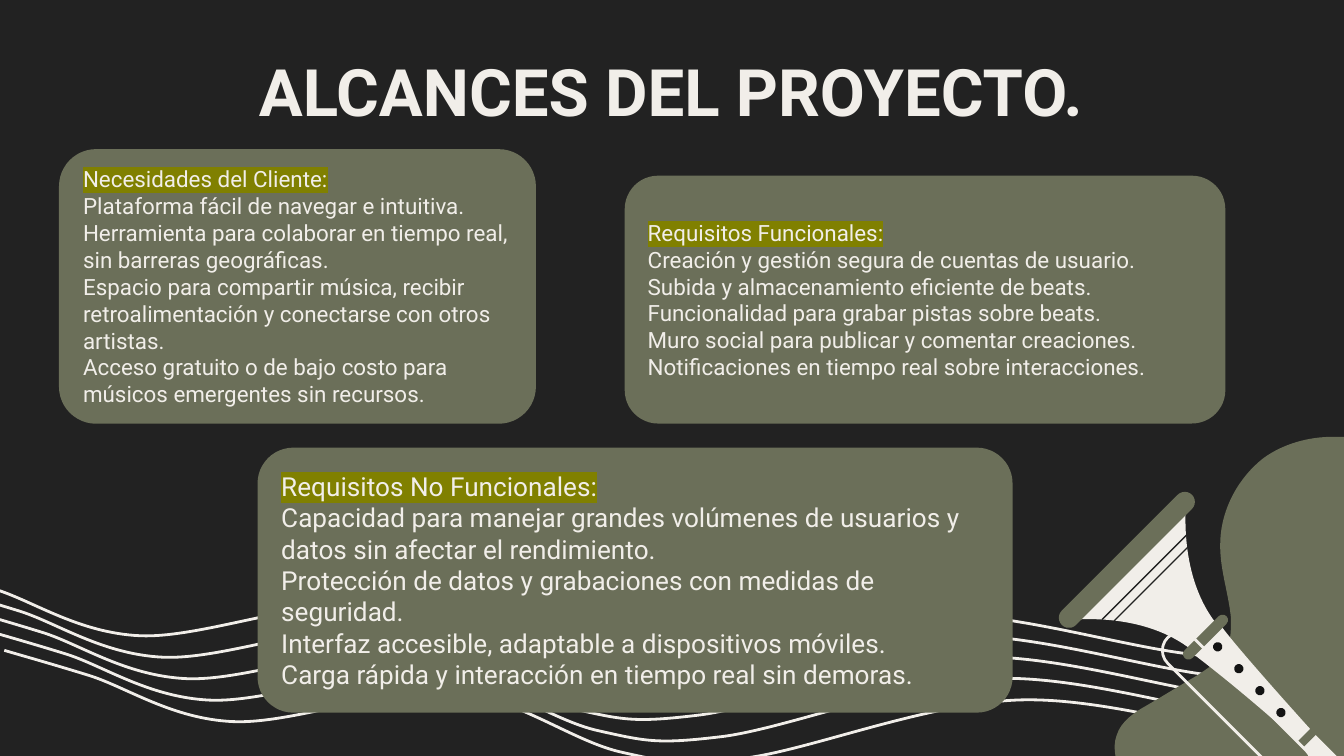
"""Build the project scope slide with a stave and trumpet decoration."""
import math

import pptx
import pptx.dml.color
import pptx.enum.shapes
import pptx.enum.text
import pptx.oxml
import pptx.oxml.ns
import pptx.util

Pt = pptx.util.Pt
SHAPE = pptx.enum.shapes.MSO_SHAPE
ANCHOR = pptx.enum.text.MSO_ANCHOR
ALIGN = pptx.enum.text.PP_ALIGN
NS = pptx.oxml.ns.nsdecls("a")
COLORS = {"bg": "222222", "cream": "F1EEE9", "olive": "6B6F59", "mark": "808000", "hole": "141414"}
FONT = "Roboto"
TILT = 315
SLOPE = 357.5

STAVE = [(-47.5, 302.4), (-40.3, 304.6, -22.3, 309.6, -1.4, 316.1),
         (18.7, 322.6, 42.5, 339.1, 74.9, 340.6), (107.3, 342, 158.4, 321.8, 193, 324.7),
         (227.5, 327.6, 257, 351.4, 283.7, 357.1), (309.6, 362.9, 315.4, 364.3, 350.6, 360),
         (386.6, 355, 447.1, 330.5, 496.8, 329), (546.5, 327.6, 610.6, 349.9, 649.4, 351.4),
         (687.6, 352.8, 715, 339.8, 728.6, 337.7)]
BLOB = [(714.2, 234), (701.3, 234, 687.6, 237.6, 676.8, 245.5),
        (663.8, 255.6, 654.5, 272.2, 653.8, 289.4), (653, 303.8, 658.1, 316.8, 659.5, 331.2),
        (659.5, 337, 659.5, 342.7, 657.4, 347), (653.8, 354.2, 647.3, 357.8, 640.8, 362.2),
        (632.2, 367.2, 622.8, 373, 614.2, 378), (607.7, 381.6, 600.5, 386.6, 598.3, 393.8),
        (596.9, 397.4, 596.9, 401, 597.6, 405), (720, 405), (720, 234)]
TRUMPET = [
    [(569.5, 332.6), (569.5, 332.6, 609.8, 326.2, 637.9, 347.8), (645.1, 341.3), (603.4, 299.5)],
    [(635.8, 265.7), (602.6, 299.5), (644.4, 341.3), (651.6, 334.1),
     (630, 306.7, 635.8, 265.7, 635.8, 265.7)],
    [(635.8, 347.8), (663.8, 368.6, 694.8, 396.7, 694.8, 396.7), (701.3, 391), (646.6, 336.2)],
    [(643.7, 344.9), (697.7, 399.6), (704.2, 393.1), (704.2, 393.1, 662.4, 347, 653.8, 334.8)],
    [(673.9, 375.8), (711.4, 414), (718.6, 407.5), (699.1, 388.1)],
]
RINGS = [(689.8, 393.1, 20.9, 4.3), (630, 338.4, 31.7, 5.8)]
RIM = (554.4, 294.5, 98.6, 10.8)
LOOP = (653, 326.2, 19.4, 105.1)
BELL_LINES = [(590.4, 331.9, 636.5, 285.8), (596.9, 332.6, 637.2, 292.3)]
CARDS = [
    ((31.6, 79.9, 255.5, 147.1), 12, [
        "Necesidades del Cliente:",
        "Plataforma fácil de navegar e intuitiva.",
        "Herramienta para colaborar en tiempo real, sin barreras geográficas.",
        "Espacio para compartir música, recibir retroalimentación y conectarse con otros artistas.",
        "Acceso gratuito o de bajo costo para músicos emergentes sin recursos."]),
    ((334.7, 94.1, 321.8, 132.8), 12, [
        "Requisitos Funcionales:",
        "Creación y gestión segura de cuentas de usuario.",
        "Subida y almacenamiento eficiente de beats.",
        "Funcionalidad para grabar pistas sobre beats.",
        "Muro social para publicar y comentar creaciones.",
        "Notificaciones en tiempo real sobre interacciones."]),
    ((138, 239.8, 404.5, 142), 14, [
        "Requisitos No Funcionales:",
        "Capacidad para manejar grandes volúmenes de usuarios y datos sin afectar el rendimiento.",
        "Protección de datos y grabaciones con medidas de seguridad.",
        "Interfaz accesible, adaptable a dispositivos móviles.",
        "Carga rápida y interacción en tiempo real sin demoras."]),
]


def rgb(name):
    """Return the named colour."""
    return pptx.dml.color.RGBColor.from_string(COLORS[name])


def paint(sp, fill=None, line=None, width=1.5):
    """Set fill and outline, each absent when not named."""
    sp.shadow.inherit = False
    for fmt, color in ((sp.fill, fill), (sp.line.fill, line)):
        if color:
            fmt.solid()
            fmt.fore_color.rgb = rgb(color)
        else:
            fmt.background()
    if line:
        sp.line.width = Pt(width)


def turn(x, y, degrees):
    """Rotate a point clockwise about the slide corner."""
    a = math.radians(degrees)
    return x * math.cos(a) - y * math.sin(a), x * math.sin(a) + y * math.cos(a)


def add_outline(shapes, path, dx=0, dy=0, rotation=0, close=True, **style):
    """Draw lines and cubic curves as a freeform whose box is rotated."""
    segs = [[tuple(map(Pt, turn(seg[i] + dx, seg[i + 1] + dy, -rotation)))
             for i in range(0, len(seg), 2)] for seg in path]
    fb = shapes.build_freeform(*segs[0][0], scale=1.0)
    fb.add_line_segments([seg[-1] for seg in segs[1:]], close=close)
    sp = fb.convert_to_shape()
    lines = list(sp._element.iter(pptx.oxml.ns.qn("a:lnTo")))
    for ln, seg in zip(lines, segs[1:]):
        if len(seg) == 3:
            pts = "".join(f'<a:pt x="{x - sp.left}" y="{y - sp.top}"/>' for x, y in seg)
            curve = pptx.oxml.parse_xml(f"<a:cubicBezTo {NS}>{pts}</a:cubicBezTo>")
            ln.getparent().replace(ln, curve)
    cx, cy = turn(sp.left + sp.width / 2, sp.top + sp.height / 2, rotation)
    sp.left, sp.top = round(cx - sp.width / 2), round(cy - sp.height / 2)
    sp.rotation = rotation
    paint(sp, **style)


def add_preset(shapes, kind, box, adj=None, rotation=0, **style):
    """Add a painted preset shape."""
    sp = shapes.add_shape(kind, *map(Pt, box))
    if adj is not None:
        sp.adjustments[0] = adj
    sp.rotation = rotation
    paint(sp, **style)
    return sp


def add_line(shapes, ends):
    """Add a thin dark line without a shadow."""
    cn = shapes.add_connector(pptx.enum.shapes.MSO_CONNECTOR.STRAIGHT, *map(Pt, ends))
    cn.line.color.rgb = rgb("bg")
    cn.line.width = Pt(0.75)
    cn._element.spPr.append(pptx.oxml.parse_xml(f"<a:effectLst {NS}/>"))


def add_run(p, text, size, bold=False, highlight=None):
    """Add a formatted run, optionally highlighted."""
    r = p.add_run()
    r.text = text
    r.font.size = Pt(size)
    r.font.bold = bold
    r.font.color.rgb = rgb("cream")
    r.font.name = FONT
    if highlight:
        fill = r._r.rPr.find(pptx.oxml.ns.qn("a:solidFill"))
        fill.addnext(pptx.oxml.parse_xml(
            f'<a:highlight {NS}><a:srgbClr val="{COLORS[highlight]}"/></a:highlight>'))


def frame(sp, anchor):
    """Prepare a wrapping text frame with equal margins."""
    tf = sp.text_frame
    tf.word_wrap = True
    tf.auto_size = pptx.enum.text.MSO_AUTO_SIZE.NONE
    tf.vertical_anchor = anchor
    tf.margin_left = tf.margin_right = tf.margin_top = tf.margin_bottom = Pt(7.2)
    return tf


def add_title(s, text):
    """Place and fill the title placeholder."""
    sp = s.shapes.title
    sp.left, sp.top, sp.width, sp.height = map(Pt, (56, 13.7, 607, 45.4))
    p = frame(sp, ANCHOR.TOP).paragraphs[0]
    p.alignment = ALIGN.CENTER
    p.line_spacing = 1.15
    add_run(p, text, 35, bold=True)


def add_card(s, box, size, lines):
    """Add a rounded card whose first line is highlighted."""
    sp = add_preset(s.shapes, SHAPE.ROUNDED_RECTANGLE, box, 0.135, fill="olive")
    tf = frame(sp, ANCHOR.MIDDLE)
    for i, text in enumerate(lines):
        p = tf.add_paragraph() if i else tf.paragraphs[0]
        p.alignment = ALIGN.LEFT
        add_run(p, text, size, highlight=None if i else "mark")


def add_trumpet(shapes):
    """Draw the trumpet from its tube, rings, holes, rim and loop."""
    for path in TRUMPET:
        add_outline(shapes, path, rotation=TILT, fill="cream")
    for box in RINGS:
        add_preset(shapes, SHAPE.ROUNDED_RECTANGLE, box, 0.5, TILT, fill="olive")
    for i in reversed(range(4)):
        box = (649.9 + 11.3 * i, 344 + 11.75 * i, 5, 5)
        add_preset(shapes, SHAPE.OVAL, box, rotation=TILT, fill="hole")
    add_preset(shapes, SHAPE.ROUNDED_RECTANGLE, RIM, 0.5, TILT, fill="olive")
    add_preset(shapes, SHAPE.ROUNDED_RECTANGLE, LOOP, 0.5, TILT, line="cream")
    for ends in BELL_LINES:
        add_line(shapes, ends)


def main():
    """Build and save the slide."""
    prs = pptx.Presentation()
    prs.slide_width, prs.slide_height = Pt(720), Pt(405)
    s = prs.slides.add_slide(prs.slide_layouts[5])
    s.background.fill.solid()
    s.background.fill.fore_color.rgb = rgb("bg")
    for i in range(5):
        add_outline(s.shapes, STAVE, 12.45 * i, 11.5 * i, SLOPE, close=False, line="cream")
    add_outline(s.shapes, BLOB, fill="olive")
    add_title(s, "ALCANCES DEL PROYECTO.")
    add_trumpet(s.shapes)
    for card in CARDS:
        add_card(s, *card)
    prs.save("out.pptx")


if __name__ == "__main__":
    main()
